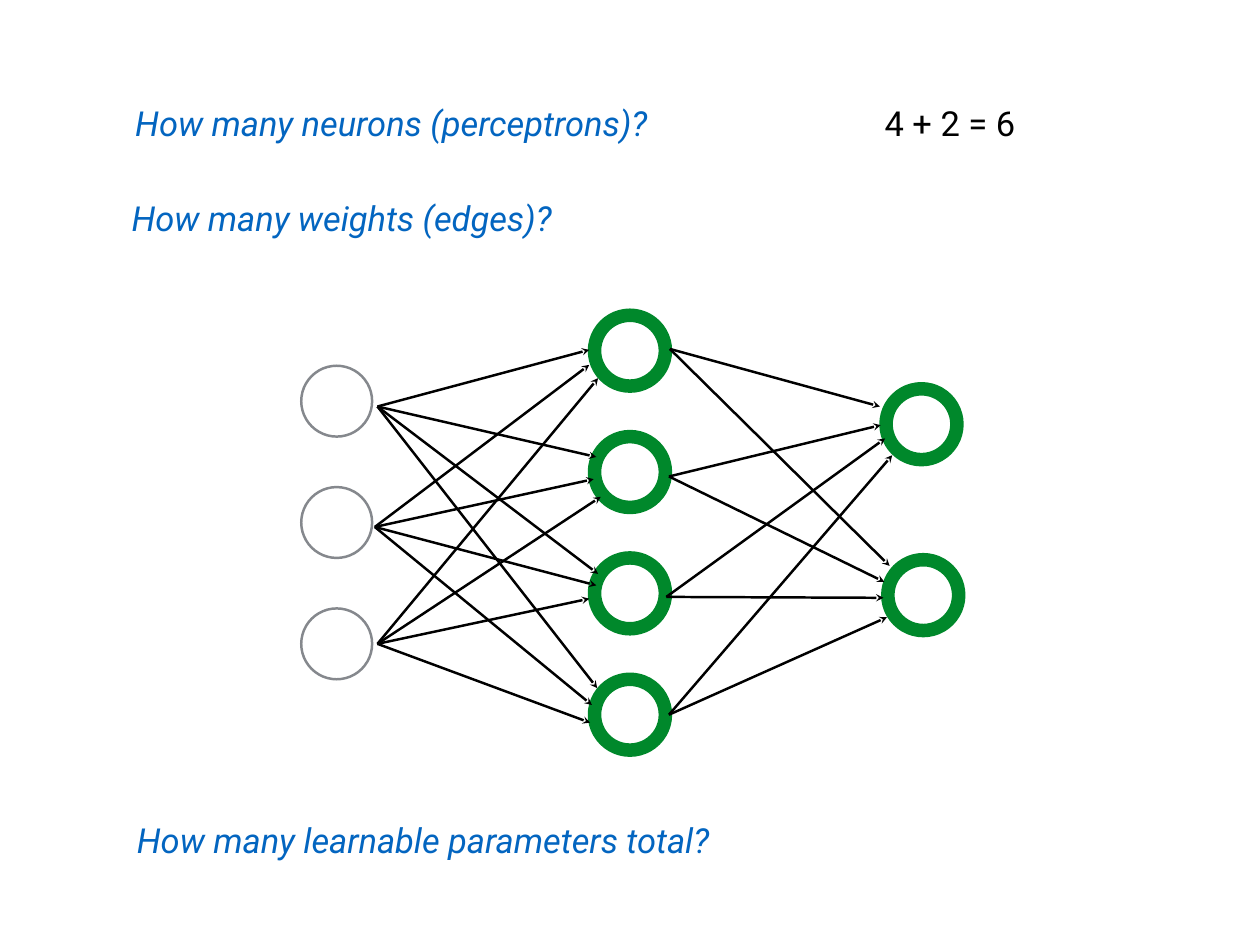
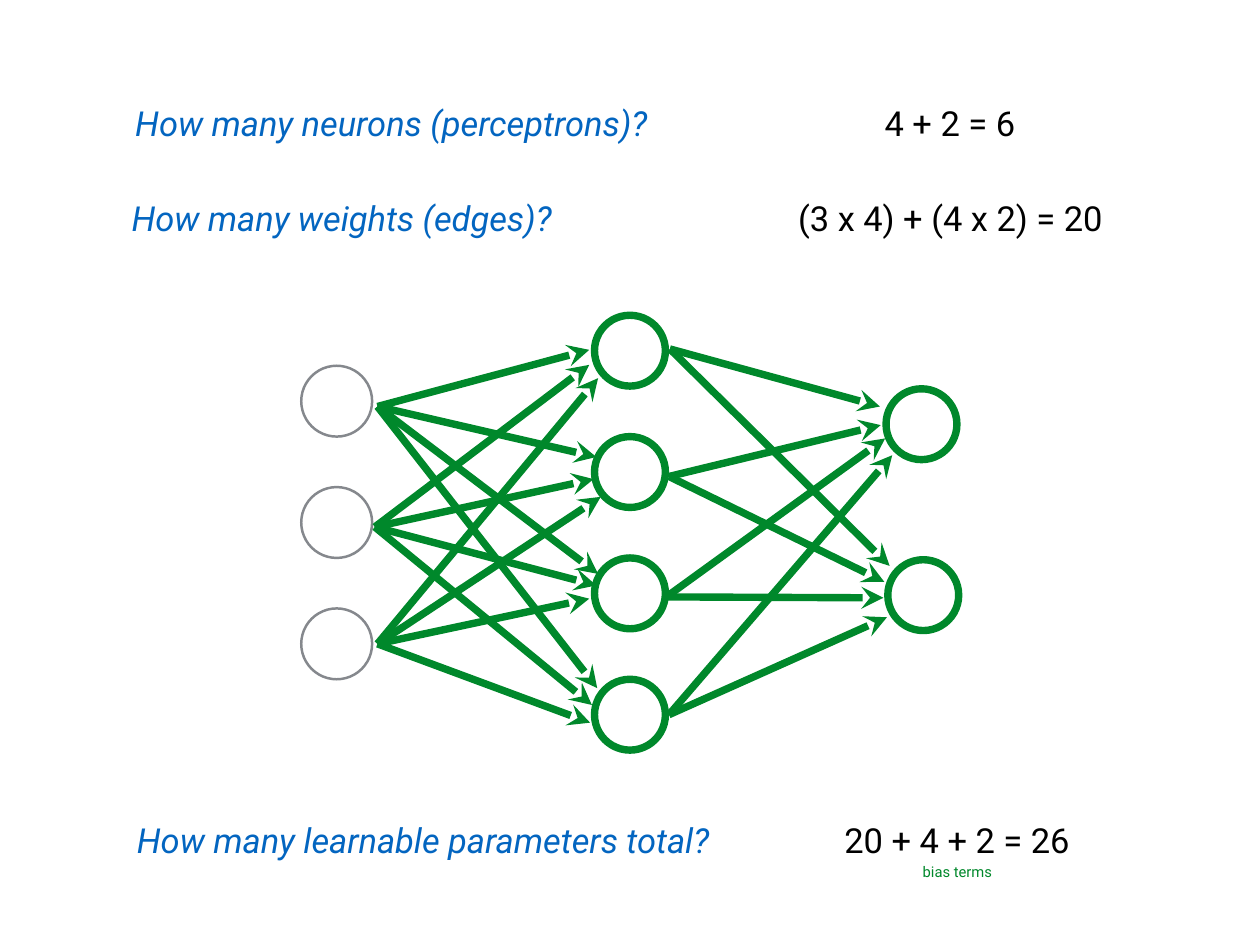
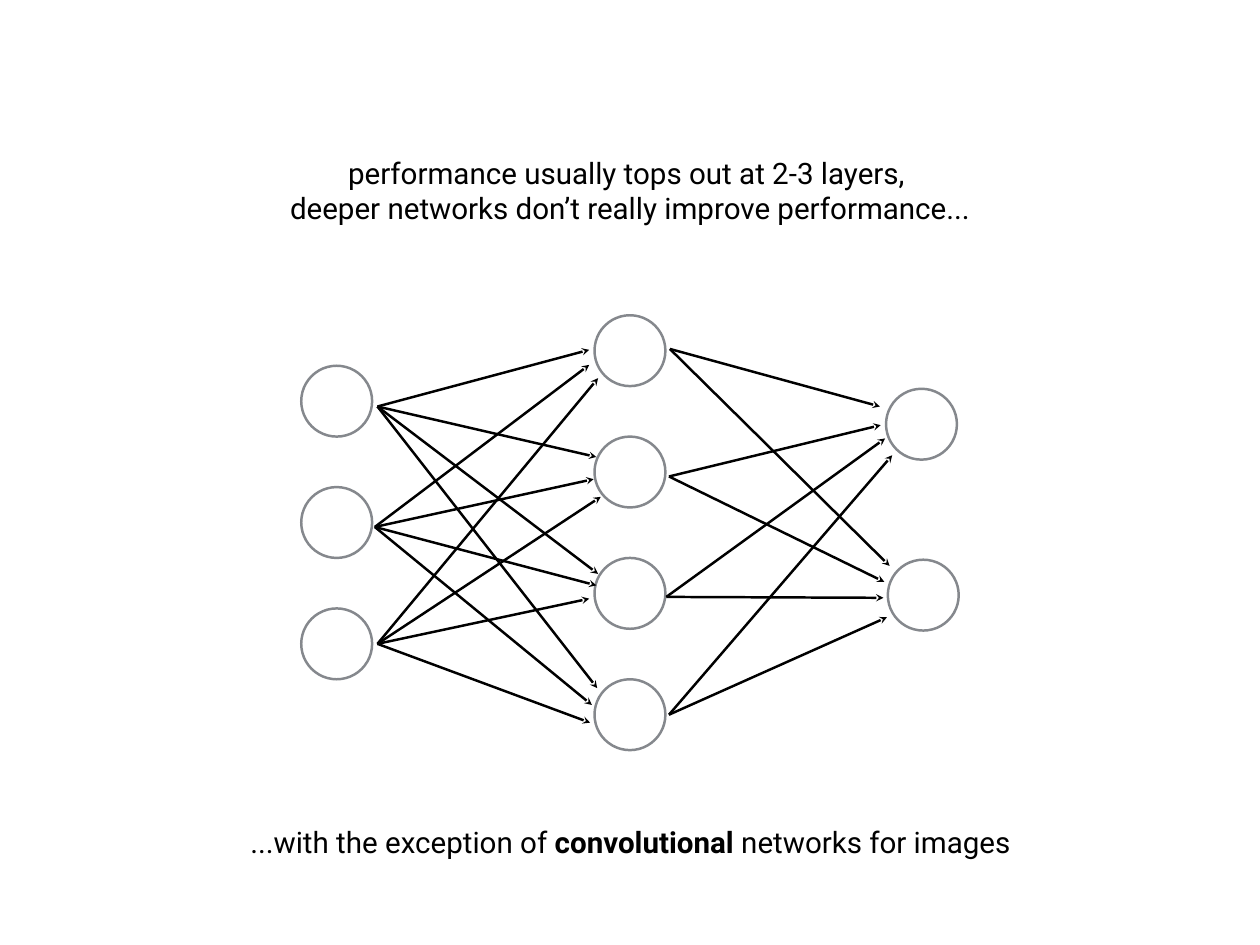
"""Build three slides that count the parameters of a small neural network."""
from lxml import etree
from pptx import Presentation
from pptx import util as u
from pptx.dml.color import RGBColor
from pptx.enum import shapes, text
from pptx.oxml.ns import qn

COLOURS = {"paper": "FFFFFF", "ink": "000000", "grey": "85888D", "green": "00882B", "blue": "0365C0"}
FONT = "Roboto"
NODE_SIZE = 0.8
NODE_STEP = 1.37

INPUT_NODES = [(3.4, 4.13 + NODE_STEP * row) for row in range(3)]
HIDDEN_NODES = [(6.71, 3.56 + NODE_STEP * row) for row in range(4)]
OUTPUT_NODES = [(10, 4.39), (10.02, 6.32)]

EDGES = {
    (4.26, 4.59): [(6.65, 3.95), (6.73, 5.16), (6.75, 6.48), (6.74, 7.77)],
    (4.23, 5.95): [(6.65, 4.12), (6.7, 5.41), (6.73, 6.61), (6.68, 7.96)],
    (4.26, 7.27): [(6.75, 4.27), (6.78, 5.61), (6.65, 6.76), (6.66, 8.16)],
    (7.56, 3.94): [(9.93, 4.59), (10.04, 6.39)],
    (7.55, 5.38): [(9.94, 4.8), (9.98, 6.57)],
    (7.52, 6.74): [(9.99, 4.95), (9.97, 6.75)],
    (7.55, 8.07): [(10.07, 5.14), (10.01, 6.97)],
}

QUESTION = {"size": u.Pt(28), "italic": True, "colour": "blue"}
ANSWER = {"size": u.Pt(28), "colour": "ink"}
LABEL = {"size": u.Pt(12), "colour": "green"}
REMARK = {"size": u.Pt(24), "colour": "ink"}

NEURON_TEXTS = [
    ((1.35, 1.1, 6.13, 0.58), QUESTION, ["How many neurons (perceptrons)?"]),
    ((1.32, 2.17, 5.07, 0.58), QUESTION, ["How many weights (edges)?"]),
    ((1.36, 9.19, 6.83, 0.58), QUESTION, ["How many learnable parameters total?"]),
    ((9.86, 1.1, 1.72, 0.58), ANSWER, ["4 + 2 = 6"]),
]
WEIGHT_TEXTS = NEURON_TEXTS + [
    ((8.87, 2.17, 3.71, 0.58), ANSWER, ["(3 x 4) + (4 x 2) = 20"]),
    ((9.38, 9.19, 2.84, 0.58), ANSWER, ["20 + 4 + 2 = 26"]),
    ((10.35, 9.69, 0.91, 0.31), LABEL, ["bias terms"]),
]
DEPTH_TEXTS = [
    ((3.15, 1.69, 7.92, 0.92), REMARK,
     ["performance usually tops out at 2-3 layers, ",
      "deeper networks don’t really improve performance..."]),
    ((2.7, 9.25, 8.83, 0.51), REMARK,
     ["...with the exception of *convolutional* networks for images"]),
]

SLIDES = [
    {"neuron": ("green", 11), "edge": ("ink", 2), "texts": NEURON_TEXTS},
    {"neuron": ("green", 6), "edge": ("green", 6), "texts": WEIGHT_TEXTS},
    {"neuron": ("grey", 2), "edge": ("ink", 2), "texts": DEPTH_TEXTS},
]


def rgb(name):
    """Return the named colour."""
    return RGBColor.from_string(COLOURS[name])


def set_line(shape, colour, width):
    """Give a shape or connector its line."""
    shape.line.color.rgb = rgb(colour)
    shape.line.width = u.Pt(width)


deck = Presentation()
deck.slide_width = u.Inches(14.22)
deck.slide_height = u.Inches(10.67)

for content in SLIDES:
    page = deck.slides.add_slide(deck.slide_layouts[6])
    page.background.fill.solid()
    page.background.fill.fore_color.rgb = rgb("paper")

    layers = [(INPUT_NODES, ("grey", 2)), (HIDDEN_NODES + OUTPUT_NODES, content["neuron"])]
    for nodes, outline in layers:
        for left, top in nodes:
            node = page.shapes.add_shape(
                shapes.MSO_SHAPE.OVAL, *map(u.Inches, (left, top, NODE_SIZE, NODE_SIZE)))
            node.shadow.inherit = False
            node.fill.solid()
            node.fill.fore_color.rgb = rgb("paper")
            set_line(node, *outline)

    for start, ends in EDGES.items():
        for end in ends:
            edge = page.shapes.add_connector(
                shapes.MSO_CONNECTOR.STRAIGHT, *map(u.Inches, start + end))
            set_line(edge, *content["edge"])
            etree.SubElement(edge.line._get_or_add_ln(), qn("a:tailEnd"), type="stealth")
            etree.SubElement(edge._element.spPr, qn("a:effectLst"))

    for place, style, lines in content["texts"]:
        box = page.shapes.add_textbox(*map(u.Inches, place))
        frame = box.text_frame
        frame.word_wrap = False
        frame.auto_size = text.MSO_AUTO_SIZE.SHAPE_TO_FIT_TEXT
        frame.vertical_anchor = text.MSO_ANCHOR.MIDDLE
        for side in ("left", "top", "right", "bottom"):
            setattr(frame, f"margin_{side}", u.Inches(0.06))
        for row, line in enumerate(lines):
            para = frame.add_paragraph() if row else frame.paragraphs[0]
            para.alignment = text.PP_ALIGN.CENTER
            for index, words in enumerate(line.split("*")):
                span = para.add_run()
                span.text = words
                values = {"name": FONT, "bold": index % 2 == 1, **style}
                span.font.color.rgb = rgb(values.pop("colour"))
                for key, value in values.items():
                    setattr(span.font, key, value)

deck.save("out.pptx")
